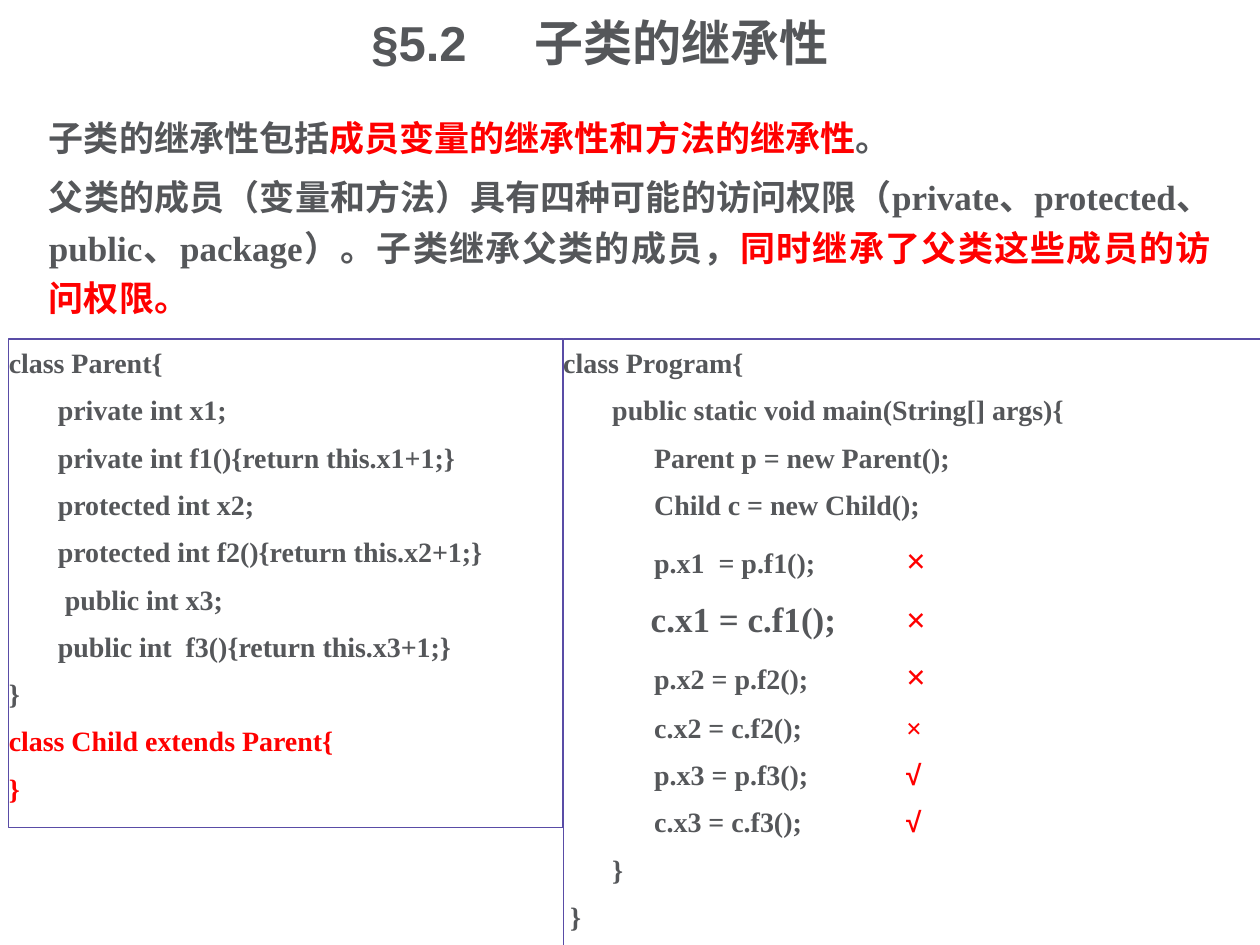
import pptx
import pptx.dml.color
import pptx.enum.shapes
import pptx.enum.text
import pptx.oxml.ns
import pptx.util
from lxml import etree

GREY = pptx.dml.color.RGBColor(0x55, 0x57, 0x5A)
RED = pptx.dml.color.RGBColor(0xFF, 0x00, 0x00)
PURPLE = pptx.dml.color.RGBColor(0x59, 0x4C, 0xA6)

LATIN, SANS, CHINESE = "Times New Roman", "Arial", "Noto Sans CJK SC"
ALIGN = pptx.enum.text.PP_ALIGN
COLUMNS, ROWS = 100, 75
MEMBER, STATEMENT, LARGE_STATEMENT, MARK = 28, 52, 50, 196
BOX_TOP = 26.9


class SlideWriter:
    def __init__(self, deck):
        self.deck = deck
        self.page = deck.slides.add_slide(deck.slide_layouts[6])
        self.base = {"size": 16, "name": LATIN, "bold": True, "color": GREY}

    def place(self, left, top, width, height):
        column = self.deck.slide_width / COLUMNS
        row = self.deck.slide_height / ROWS
        return [round(n * unit) for n, unit in
                zip((left, top, width, height), (column, row, column, row))]

    def frame(self, box, margins):
        frame = box.text_frame
        settings = {"word_wrap": True, "vertical_anchor": pptx.enum.text.MSO_ANCHOR.TOP,
                    "auto_size": pptx.enum.text.MSO_AUTO_SIZE.NONE,
                    "margin_left": margins[0], "margin_right": margins[0],
                    "margin_top": margins[1], "margin_bottom": margins[1]}
        for key, value in settings.items():
            setattr(frame, key, value)
        return frame

    def span(self, para, text, **changes):
        style = {**self.base, **changes}
        span = para.add_run()
        span.text = text
        span.font.color.rgb = style.pop("color")
        tracking = style.pop("tracking", None)
        style["size"] = pptx.util.Pt(style["size"])
        for key, value in style.items():
            setattr(span.font, key, value)
        properties = span.font._element
        if tracking:
            properties.set("spc", str(tracking * 100))
        if any("\u3000" <= letter for letter in text):
            east = etree.SubElement(properties, pptx.oxml.ns.qn("a:ea"))
            east.set("typeface", CHINESE)

    def tabs(self, para, stops):
        stop_list = etree.SubElement(para._p.get_or_add_pPr(), pptx.oxml.ns.qn("a:tabLst"))
        for stop in stops:
            tab = etree.SubElement(stop_list, pptx.oxml.ns.qn("a:tab"))
            tab.set("pos", str(pptx.util.Pt(stop)))
            tab.set("algn", "l")

    def paragraph(self, frame, index, spans, before, spacing=1.2, align=ALIGN.LEFT, stops=()):
        para = frame.add_paragraph() if index else frame.paragraphs[0]
        settings = {"alignment": align, "line_spacing": spacing,
                    "space_before": pptx.util.Pt(before)}
        for key, value in settings.items():
            setattr(para, key, value)
        if stops:
            self.tabs(para, stops)
        for text, changes in spans:
            self.span(para, text, **changes)

    def text(self, area, paragraphs, **settings):
        box = self.page.shapes.add_textbox(*self.place(*area))
        frame = self.frame(box, (pptx.util.Inches(0.1), pptx.util.Inches(0.05)))
        for index, spans in enumerate(paragraphs):
            self.paragraph(frame, index, spans, **settings)

    def code(self, area, lines):
        box = self.page.shapes.add_shape(
            pptx.enum.shapes.MSO_SHAPE.RECTANGLE, *self.place(*area))
        box.shadow.inherit = False
        box.fill.background()
        box.line.color.rgb = PURPLE
        box.line.width = pptx.util.Pt(0.75)
        frame = self.frame(box, (0, 0))
        for index, (indent, spans, before) in enumerate(lines):
            if indent:
                first, *rest = spans
                spans = [("\t" + first[0], first[1]), *rest]
            stops = [stop for stop in (indent, MARK) if stop]
            self.paragraph(frame, index, spans, before, stops=stops)


def line(text, indent=0, color=GREY):
    return indent, [(text, {"color": color})], 4


def checked(text, mark, indent=STATEMENT, size=16, mark_size=16, before=4):
    name = SANS if mark == "√" else LATIN
    return indent, [(text + "\t", {"size": size}),
                    (mark, {"size": mark_size, "name": name, "color": RED})], before


def main():
    deck = pptx.Presentation()
    deck.slide_width = pptx.util.Inches(10)
    deck.slide_height = pptx.util.Inches(7.5)
    writer = SlideWriter(deck)

    heading = {"size": 28, "name": SANS}
    writer.text((12.6, 1, 70, 14.2), [[
        ("§5.2", heading),
        (" ", {**heading, "tracking": 31}),
        ("子类的继承性", {**heading, "name": CHINESE}),
    ]], before=10, spacing=0.9, align=ALIGN.CENTER)

    plain, strong = {"size": 20}, {"size": 20, "color": RED}
    writer.text((2.9, 8.1, 94.2, 22.4), [
        [("子类的继承性包括", plain),
         ("成员变量的继承性和方法的继承性", strong),
         ("。", plain)],
        [("父类的成员（变量和方法）具有四种可能的访问权限（private、protected、"
          "public、package）。子类继承父类的成员，", plain),
         ("同时继承了父类这些成员的访问权限。", strong)],
    ], before=5, align=ALIGN.JUSTIFY)

    writer.code((0.7, BOX_TOP, 44, 38.8), [
        line("class Parent{"),
        line("private int x1;", MEMBER),
        line("private int f1(){return this.x1+1;}", MEMBER),
        line("protected int x2;", MEMBER),
        line("protected int f2(){return this.x2+1;}", MEMBER),
        line("public int x3;", MEMBER + 4),
        line("public int  f3(){return this.x3+1;}", MEMBER),
        line("}"),
        line("class Child extends Parent{", color=RED),
        line("}", color=RED),
    ])
    writer.code((44.7, BOX_TOP, 55.5, 58.1), [
        line("class Program{"),
        line("public static void main(String[] args){", MEMBER),
        line("Parent p = new Parent();", STATEMENT),
        line("Child c = new Child();", STATEMENT),
        checked("p.x1  = p.f1();", "×", mark_size=20, before=5),
        checked("c.x1 = c.f1();", "×", LARGE_STATEMENT, 20, 20, 5),
        checked("p.x2 = p.f2();", "×", mark_size=20),
        checked("c.x2 = c.f2();", "×"),
        checked("p.x3 = p.f3();", "√"),
        checked("c.x3 = c.f3();", "√"),
        line("}", MEMBER),
        line("}", 4),
    ])
    deck.save("out.pptx")


if __name__ == "__main__":
    main()
